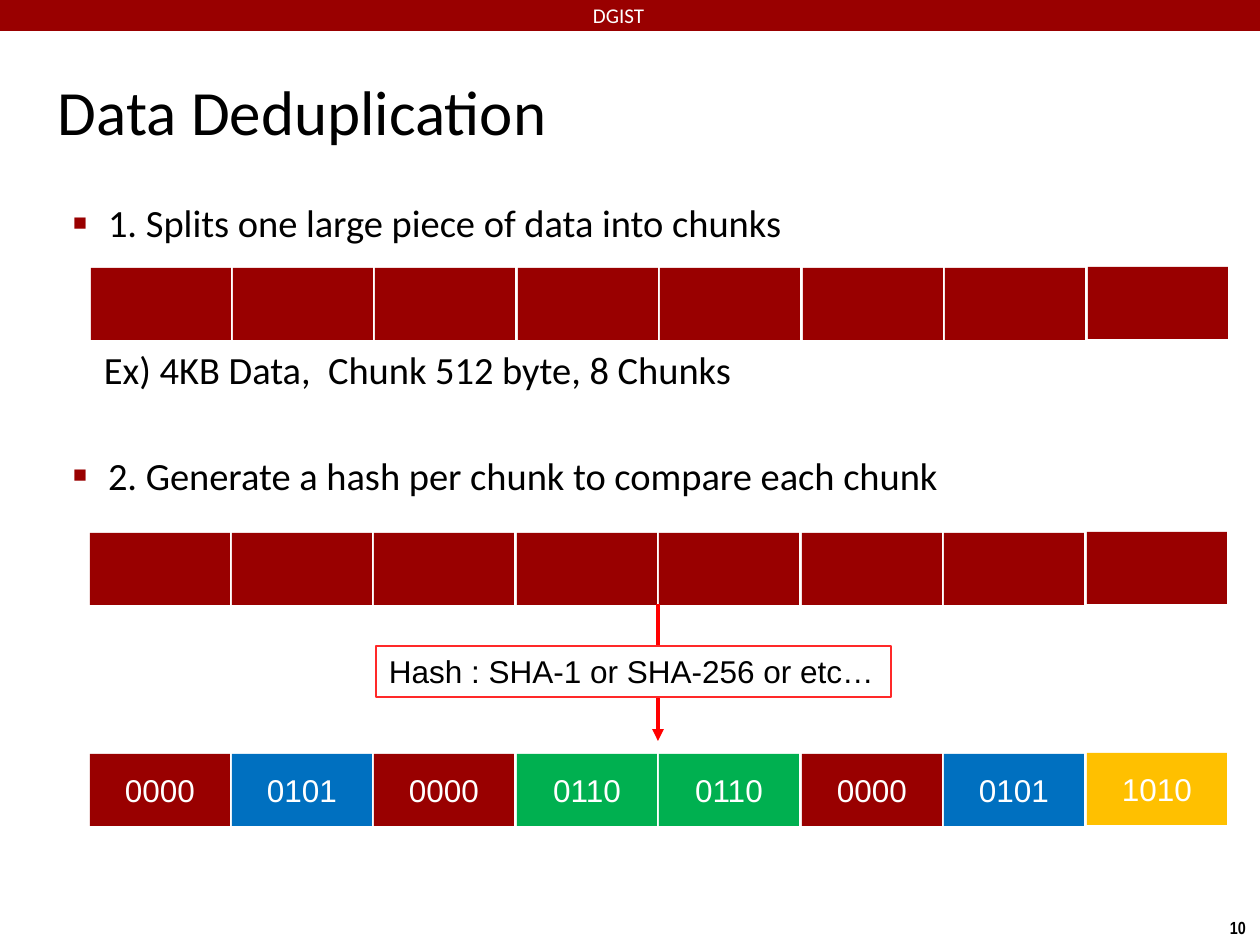
"""Build the Data Deduplication slide with chunk rows and a hash step."""
from lxml import etree
from pptx import Presentation
from pptx.dml.color import RGBColor
from pptx.enum.shapes import MSO_CONNECTOR, MSO_SHAPE
from pptx.enum.text import MSO_ANCHOR, PP_ALIGN
from pptx.oxml.ns import qn
from pptx.util import Pt

RECT, STRAIGHT = MSO_SHAPE.RECTANGLE, MSO_CONNECTOR.STRAIGHT
LEFT, CENTER = PP_ALIGN.LEFT, PP_ALIGN.CENTER
TOP, MIDDLE = MSO_ANCHOR.TOP, MSO_ANCHOR.MIDDLE

TITLE = "Data Deduplication"
HEADER = "DGIST"
PAGE = "10"
STEPS = [
    ("1. Splits one large piece of data into chunks", 0),
    ("2. Generate a hash per chunk to compare each chunk", 118),
]
EXAMPLE = "Ex) 4KB Data,  Chunk 512 byte, 8 Chunks"
HASH_METHOD = "Hash : SHA-1 or SHA-256 or etc…"
HASHES = ["0000", "0101", "0000", "0110", "0110", "0000", "0101", "1010"]
NO_LABELS = [""] * len(HASHES)
CHUNK_ROWS = [(91, 268, NO_LABELS), (90, 533, NO_LABELS), (90, 754, HASHES)]
CHUNK_W, CHUNK_H, LAST_OFFSET = 140, 72, 997

THEME = {
    "main": "990000", "text": "000000", "light": "FFFFFF",
    "arrow": "FF0000", "outline": "FF2929",
    "chunks": {"": "990000", "0000": "990000", "0101": "0070C0",
               "0110": "00B050", "1010": "FFC000"},
    "heading": "Calibri", "label": "Arial", "number": "Arial Narrow",
    "title_pt": 36, "step_pt": 22, "label_pt": 18, "header_pt": 12, "page_pt": 10,
}
SCALE = 914400 // 126


def px(*lengths):
    return [length * SCALE for length in lengths]


def rgb(key):
    return RGBColor.from_string(THEME.get(key, key))


def write(shape, text, face, size, color="text", align=LEFT, anchor=TOP,
          inset=(0, 0), wrap=True, bold=False):
    frame = shape.text_frame
    frame.text = text
    frame.word_wrap = wrap
    frame.vertical_anchor = anchor
    frame.margin_left = frame.margin_right = inset[0] * SCALE
    frame.margin_top = frame.margin_bottom = inset[1] * SCALE
    for paragraph in frame.paragraphs:
        paragraph.alignment = align
        for run in paragraph.runs:
            run.font.name = THEME[face]
            run.font.size = Pt(THEME[size])
            run.font.color.rgb = rgb(color)
            run.font.bold = bold
    return frame


def add_rect(shapes, box, fill):
    rect = shapes.add_shape(RECT, *px(*box))
    rect.shadow.inherit = False
    rect.fill.solid()
    rect.fill.fore_color.rgb = rgb(fill)
    rect.line.fill.background()
    return rect


def add_chunks(slide, left, top, labels):
    shapes = slide.shapes.add_group_shape().shapes
    last = len(labels) - 1
    for i, label in enumerate(labels):
        box = (left + LAST_OFFSET * i // last, top - (i == last), CHUNK_W, CHUNK_H)
        chunk = add_rect(shapes, box, THEME["chunks"][label])
        if label:
            write(chunk, label, "label", "label_pt", "light", CENTER, MIDDLE)


def add_bullet(paragraph):
    properties = paragraph._p.get_or_add_pPr()
    properties.set("marL", str(35 * SCALE))
    properties.set("indent", str(-35 * SCALE))
    bullet_color = etree.SubElement(properties, qn("a:buClr"))
    etree.SubElement(bullet_color, qn("a:srgbClr"), val=THEME["main"])
    etree.SubElement(properties, qn("a:buSzPct"), val="60000")
    etree.SubElement(properties, qn("a:buFont"), typeface=THEME["label"])
    etree.SubElement(properties, qn("a:buChar"), char="■")


def add_arrow(slide, x, start, end):
    arrow = slide.shapes.add_connector(STRAIGHT, *px(x, start, x, end))
    arrow.line.color.rgb = rgb("arrow")
    arrow.line.width = Pt(2.25)
    etree.SubElement(arrow.line._get_or_add_ln(), qn("a:tailEnd"), type="triangle")
    etree.SubElement(arrow._element.spPr, qn("a:effectLst"))


def main():
    deck = Presentation()
    deck.slide_width, deck.slide_height = px(1260, 945)
    slide = deck.slides.add_slide(deck.slide_layouts[5])
    shapes = slide.shapes

    add_rect(shapes, (0, 0, 1261, 31), "main")
    title = shapes.title
    title.left, title.top, title.width, title.height = px(53, 35, 1155, 150)
    write(title, TITLE, "heading", "title_pt", anchor=MIDDLE, inset=(5, 5))
    header = shapes.add_textbox(*px(593, 3, 76, 28))
    write(header, HEADER, "heading", "header_pt", "light")
    page = shapes.add_textbox(*px(1200, 911, 76, 38))
    write(page, PAGE, "number", "page_pt", align=CENTER, inset=(13, 6),
          wrap=False, bold=True)

    steps = shapes.add_textbox(*px(68, 194, 1155, 723))
    frame = write(steps, "\n".join(text for text, _ in STEPS),
                  "heading", "step_pt", inset=(5, 5))
    for paragraph, (_, gap) in zip(frame.paragraphs, STEPS):
        paragraph.space_before = Pt(gap)
        add_bullet(paragraph)

    example = shapes.add_textbox(*px(91, 340, 670, 59))
    write(example, EXAMPLE, "heading", "step_pt", inset=(13, 6))
    for left, top, labels in CHUNK_ROWS:
        add_chunks(slide, left, top, labels)

    add_arrow(slide, 658, 604, 741)
    method = add_rect(shapes, (376, 646, 515, 51), "light")
    method.line.color.rgb = rgb("outline")
    method.line.width = Pt(1)
    write(method, HASH_METHOD, "label", "label_pt", inset=(13, 6), wrap=False)
    deck.save("out.pptx")


if __name__ == "__main__":
    main()
